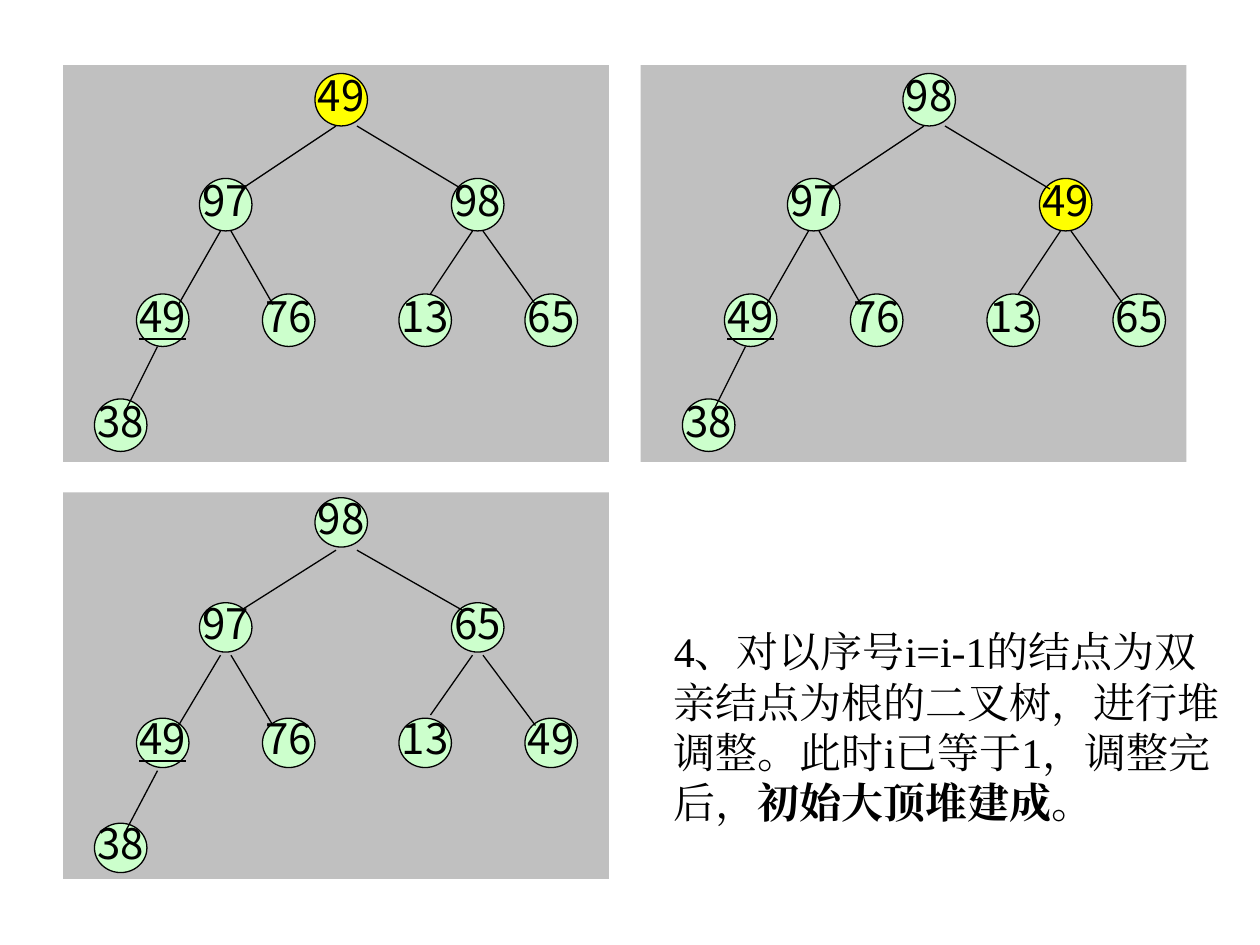
"""Builds the slide on the last steps of making a max heap."""
from lxml import etree
from pptx import Presentation
from pptx.dml.color import RGBColor
from pptx.enum.shapes import MSO_CONNECTOR, MSO_SHAPE
from pptx.enum.text import MSO_ANCHOR, MSO_AUTO_SIZE, PP_ALIGN
from pptx.oxml.ns import qn
from pptx.util import Pt

RECT, OVAL = MSO_SHAPE.RECTANGLE, MSO_SHAPE.OVAL
LINE = MSO_CONNECTOR.STRAIGHT
MIDDLE, CENTER = MSO_ANCHOR.MIDDLE, PP_ALIGN.CENTER
GROW = MSO_AUTO_SIZE.SHAPE_TO_FIT_TEXT

PX = 7620
COLORS = {"panel": "C0C0C0", "node": "CCFFCC", "root": "FFFF00", "ink": "000000"}
SANS, SERIF = "Noto Sans CJK SC", "Times New Roman"

DOT = 50
SPOTS = [(300, 70), (190, 170), (430, 170), (130, 280),
         (250, 280), (380, 280), (500, 280), (90, 380)]
EDGES = [(320, 120, 230, 180), (340, 120, 440, 180), (210, 220, 170, 290),
         (220, 220, 260, 290), (450, 220, 410, 280), (460, 220, 510, 290),
         (150, 330, 120, 390)]
UNDER = 3


def color(name):
    return RGBColor.from_string(COLORS[name])


def write(para, text, font=SANS, size=24, bold=False, under=False):
    run = para.add_run()
    run.text = text
    run.font.name = font
    run.font.size = Pt(size)
    run.font.bold = bold
    run.font.underline = under
    run.font.color.rgb = color("ink")
    east = etree.SubElement(run.font._element, qn("a:ea"))
    east.set("typeface", font)


class Page:
    def __init__(self, slide):
        self.slide = slide

    def shape(self, kind, box, fill):
        item = self.slide.shapes.add_shape(kind, *(n * PX for n in box))
        item.shadow.inherit = False
        item.fill.solid()
        item.fill.fore_color.rgb = color(fill)
        item.line.fill.background()
        return item

    def node(self, box, label, fill, under):
        item = self.shape(OVAL, box, fill)
        item.line.color.rgb = color("ink")
        item.line.width = Pt(0.75)
        frame = item.text_frame
        frame.word_wrap = False
        frame.vertical_anchor = MIDDLE
        para = frame.paragraphs[0]
        para.alignment = CENTER
        para.line_spacing = 0.8
        write(para, label, under=under)

    def edge(self, *ends):
        item = self.slide.shapes.add_connector(LINE, *(n * PX for n in ends))
        item.line.color.rgb = color("ink")
        item.line.width = Pt(0.75)
        etree.SubElement(item._element.spPr, qn("a:effectLst"))

    def tree(self, panel, dx, dy, high, labels, mark=None):
        self.shape(RECT, panel, "panel")
        for i, ((x, y), label) in enumerate(zip(SPOTS, labels)):
            fill = "root" if i == mark else "node"
            self.node((x + dx, y + dy, DOT, high), label, fill, i == UNDER)
        for x1, y1, x2, y2 in EDGES:
            self.edge(x1 + dx, y1 + dy, x2 + dx, y2 + dy + high - DOT)

    def note(self, box, parts):
        item = self.slide.shapes.add_textbox(*(n * PX for n in box))
        frame = item.text_frame
        frame.word_wrap = True
        frame.auto_size = GROW
        for text, bold in parts:
            write(frame.paragraphs[0], text, font=SERIF, bold=bold)


def main():
    deck = Presentation()
    deck.slide_width, deck.slide_height = 1200 * PX, 900 * PX
    page = Page(deck.slides.add_slide(deck.slide_layouts[6]))
    page.tree((60, 62, 520, 378), 0, 0, DOT,
              "49 97 98 49 76 13 65 38".split(), mark=0)
    page.tree((610, 62, 520, 378), 560, 0, DOT,
              "98 97 49 49 76 13 65 38".split(), mark=2)
    page.tree((60, 469, 520, 368), 0, 404, 47,
              "98 97 65 49 76 13 49 38".split())
    page.note((630, 590, 550, 204), [
        ("4、对以序号i=i-1的结点为双亲结点为根的二叉树，进行堆调整。"
         "此时i已等于1，调整完后，", False),
        ("初始大顶堆建成", True),
        ("。", False)])
    deck.save("out.pptx")


if __name__ == "__main__":
    main()
